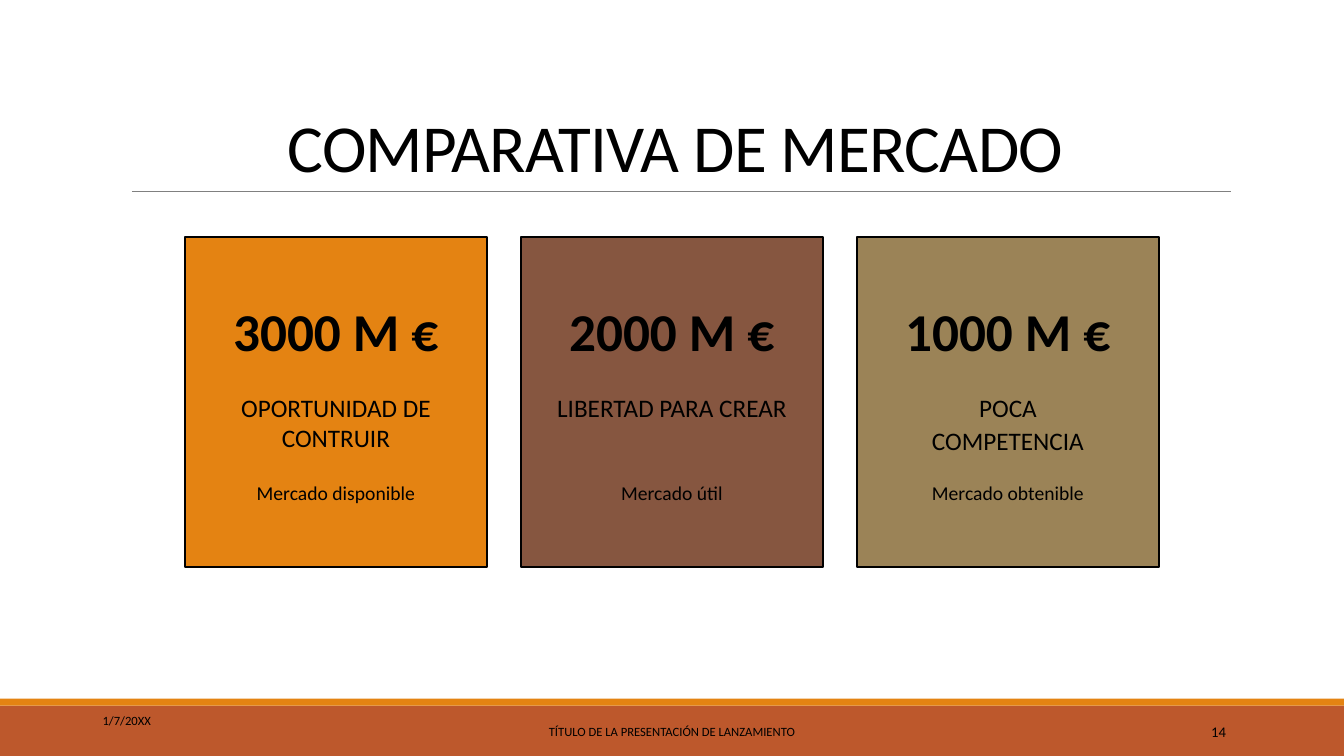
from dataclasses import dataclass
from lxml import etree
from pptx import Presentation
from pptx.dml.color import RGBColor
from pptx.enum.shapes import MSO_CONNECTOR, MSO_SHAPE
from pptx.enum.text import MSO_ANCHOR, MSO_AUTO_SIZE, PP_ALIGN
from pptx.oxml.ns import qn
from pptx.util import Pt

RECT, LINE = MSO_SHAPE.RECTANGLE, MSO_CONNECTOR.STRAIGHT
TOP, MID, LOW = MSO_ANCHOR.TOP, MSO_ANCHOR.MIDDLE, MSO_ANCHOR.BOTTOM
LEFT, MIDST, RIGHT = PP_ALIGN.LEFT, PP_ALIGN.CENTER, PP_ALIGN.RIGHT
FIXED = MSO_AUTO_SIZE.NONE


@dataclass(frozen=True)
class Theme:
    font: str = "Calibri"
    ink: str = "000000"
    rule: str = "808080"
    base: str = "BD582C"
    orange: str = "E48312"
    brown: str = "865640"
    olive: str = "9B8357"
    title: float = 48
    value: float = 38
    label: float = 18
    note: float = 14
    page: float = 10.5
    foot: float = 9


def color(code):
    return RGBColor.from_string(code)


class Deck:
    def __init__(self, theme):
        self.theme = theme
        self.file = Presentation()
        self.file.slide_width, self.file.slide_height = Pt(960), Pt(540)
        self.slide = self.file.slides.add_slide(self.file.slide_layouts[5])

    def fill_text(self, shape, lines, size, bold=False, align=MIDST,
                  anchor=TOP, inset=(0, 3.6, 0, 3.6), form=None):
        """Fill a shape with one paragraph per line of text."""
        frame = shape.text_frame
        left, top, right, low = map(Pt, inset)
        style = {"word_wrap": True, "auto_size": FIXED,
                 "vertical_anchor": anchor, "margin_left": left,
                 "margin_top": top, "margin_right": right,
                 "margin_bottom": low}
        for key, val in style.items():
            setattr(frame, key, val)
        frame.text = lines
        face = {"name": self.theme.font, "size": Pt(size), "bold": bold}
        for para in frame.paragraphs:
            for key, val in {"alignment": align, **(form or {})}.items():
                setattr(para, key, val)
            for run in para.runs:
                for key, val in face.items():
                    setattr(run.font, key, val)
                run.font.color.rgb = color(self.theme.ink)

    def title(self, text, box):
        shape = self.slide.shapes.title
        for key, val in zip(("left", "top", "width", "height"), box):
            setattr(shape, key, Pt(val))
        self.fill_text(shape, text, self.theme.title, anchor=LOW,
                       inset=(7.2, 3.6, 7.2, 3.6),
                       form={"line_spacing": 0.85})
        run = shape.text_frame.paragraphs[0].runs[0]
        run.font._element.set("spc", "-50")

    def text(self, lines, box, size, **style):
        shape = self.slide.shapes.add_textbox(*map(Pt, box))
        self.fill_text(shape, lines, size, **style)

    def rect(self, box, fill, edge=0):
        shape = self.slide.shapes.add_shape(RECT, *map(Pt, box))
        shape.shadow.inherit = False
        shape.fill.solid()
        shape.fill.fore_color.rgb = color(fill)
        if edge:
            shape.line.color.rgb = color(self.theme.ink)
            shape.line.width = Pt(edge)
        else:
            shape.line.fill.background()
        return shape

    def rule(self, ends, width):
        line = self.slide.shapes.add_connector(LINE, *map(Pt, ends))
        line.line.color.rgb = color(self.theme.rule)
        line.line.width = Pt(width)
        etree.SubElement(line._element.spPr, qn("a:effectLst"))

    def card(self, left, fill, value, label, note):
        theme = self.theme
        shape = self.rect((left, 169.2, 216, 236), fill, edge=1.75)
        self.fill_text(shape, value, theme.value, bold=True,
                       inset=(0, 49, 0, 0), form={"line_spacing": 0.9})
        after = {"space_after": Pt(2)}
        self.text(label, (left + 18, 276.5, 180, 57.6), theme.label,
                  form=after)
        self.text(note, (left + 18, 337, 180, 50.4), theme.note,
                  form={"line_spacing": Pt(20), **after})


def main():
    theme = Theme()
    deck = Deck(theme)

    # Footer bands and title rule
    deck.rect((0, 504, 960, 36), theme.base)
    deck.rect((0, 499, 960, 5), theme.orange)
    deck.rule((94.3, 136.6, 879.1, 136.6), 0.5)
    deck.title("COMPARATIVA DE MERCADO", (86.4, 22.3, 792, 114.5))

    # Market cards
    cards = [
        (theme.orange, "3000 M €", "OPORTUNIDAD DE CONTRUIR",
         "Mercado disponible"),
        (theme.brown, "2000 M €", "LIBERTAD PARA CREAR", "Mercado útil"),
        (theme.olive, "1000 M €", "POCA\nCOMPETENCIA", "Mercado obtenible"),
    ]
    for num, card in enumerate(cards):
        deck.card(132 + 240 * num, *card)

    # Footer texts
    feet = [
        ("1/7/20XX", (66.2, 500.4, 216, 28.8), theme.foot, LEFT),
        ("TÍTULO DE LA PRESENTACIÓN DE LANZAMIENTO",
         (290.2, 508.3, 379.4, 28.8), theme.foot, MIDST),
        ("14", (779.8, 508.3, 103, 28.8), theme.page, RIGHT),
    ]
    for text, box, size, align in feet:
        deck.text(text, box, size, align=align, anchor=MID,
                  inset=(7.2, 3.6, 7.2, 3.6))

    deck.file.save("out.pptx")


if __name__ == "__main__":
    main()
